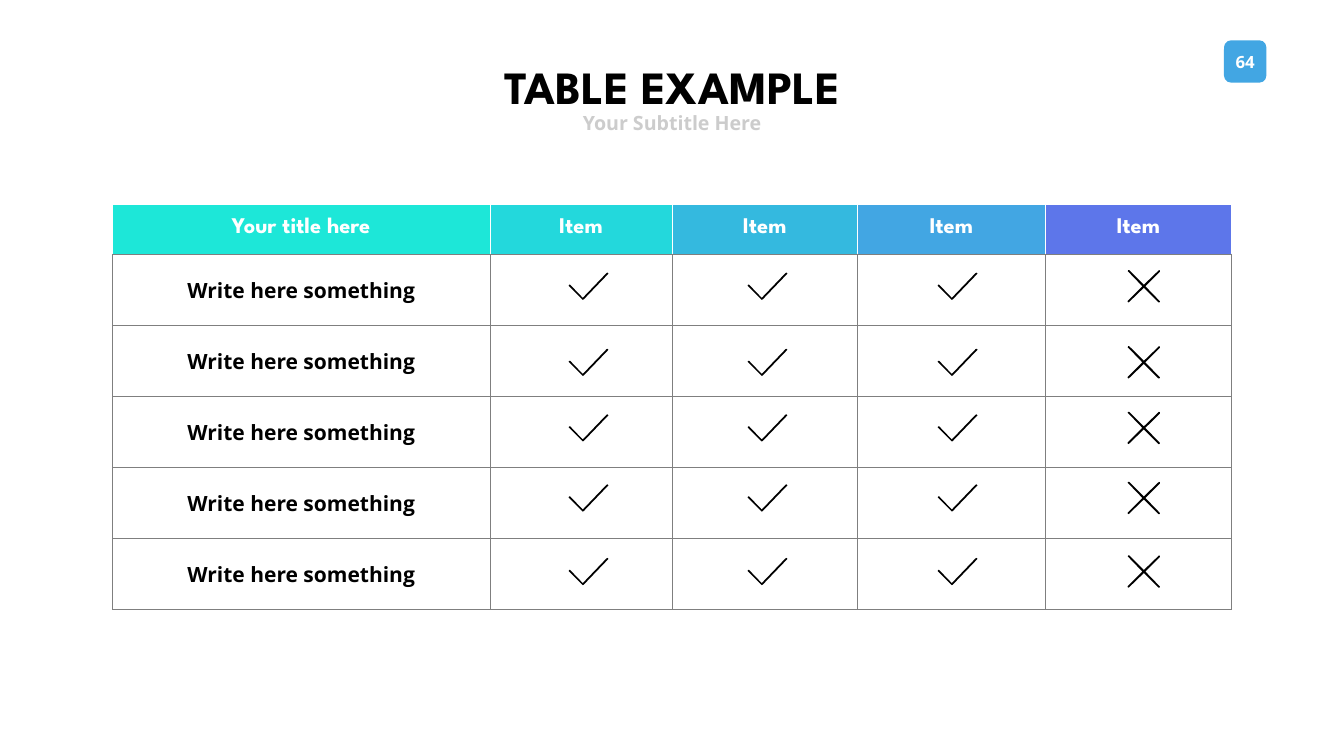
import pptx
import pptx.dml.color
import pptx.enum.shapes
import pptx.enum.text
import pptx.oxml
import pptx.oxml.ns
import pptx.util
from dataclasses import dataclass

PX = 9144  # EMU in one px, 100 px to the inch
ALIGN_CENTER = pptx.enum.text.PP_ALIGN.CENTER
ANCHOR = pptx.enum.text.MSO_ANCHOR


@dataclass(frozen=True)
class Theme:
    heading_font: str = "League Spartan"
    body_font: str = "Open Sans"
    ink: str = "000000"
    paper: str = "FFFFFF"
    muted: str = "CCCCCC"
    grid: str = "7F7F7F"
    badge: str = "42A6E3"
    headers: tuple = ("1DE7D8", "23D8DC", "34B9DF", "42A6E3", "5D76EA")
    title_size: int = 66
    subtitle_size: int = 28
    header_size: int = 32
    label_size: int = 30
    number_size: int = 24


THEME = Theme()

HEADERS = ("Your title here", "Item", "Item", "Item", "Item")
LABELS = ("Write here something",) * 5
COLUMN_WIDTHS = (749, 361, 368, 372, 370)
HEADER_HEIGHT, ROW_HEIGHT = 99, 141
CHECK_LEFTS = (905, 1260, 1637)  # from the left of the table
CROSS_LEFT = 2014
MARK_CENTERS = (163, 314, 444, 583, 729)  # from the top of the table

CHECK_SIZE = (79, 54)
CHECK_OUTLINE = ((79, 2), (77, 0), (75, 1), (28, 50), (3, 24), (1, 24),
                 (0, 26), (27, 53), (28, 54), (30, 53), (78, 3))
CROSS_SIZE = (64, 64)
CROSS_ARM = ((35, 32), (64, 3), (64, 1), (62, 0))


def px(*lengths):
    return [pptx.util.Emu(length * PX) for length in lengths]


def color(code):
    return pptx.dml.color.RGBColor.from_string(code)


def paint(shape, code):
    shape.fill.solid()
    shape.fill.fore_color.rgb = color(code)
    shape.line.fill.background()
    shape.shadow.inherit = False


def write(frame, text, font, size, code):
    """Put one centred bold run in the frame and return its paragraph."""
    para = frame.paragraphs[0]
    para.alignment = ALIGN_CENTER
    span = para.add_run()
    span.text = text
    span.font.name = font
    span.font.size = pptx.util.Pt(size)
    span.font.bold = True
    span.font.color.rgb = color(code)
    return para


def add_title(page, box):
    title = page.shapes.title
    title.left, title.top, title.width, title.height = px(*box)
    frame = title.text_frame
    frame.auto_size = pptx.enum.text.MSO_AUTO_SIZE.NONE
    frame.word_wrap = False
    frame.vertical_anchor = ANCHOR.TOP
    para = write(frame, "TABLE EXAMPLE", THEME.heading_font,
                 THEME.title_size, THEME.ink)
    para.line_spacing = pptx.util.Pt(100)


def add_subtitle(page, box):
    frame = page.shapes.add_textbox(*px(*box)).text_frame
    frame.word_wrap = False
    frame.vertical_anchor = ANCHOR.MIDDLE
    write(frame, "Your Subtitle Here", THEME.body_font,
          THEME.subtitle_size, THEME.muted)


def add_page_number(page, box):
    badge = page.shapes.add_shape(
        pptx.enum.shapes.MSO_SHAPE.ROUNDED_RECTANGLE, *px(*box))
    paint(badge, THEME.badge)
    frame = badge.text_frame
    frame.word_wrap = False
    frame.vertical_anchor = ANCHOR.MIDDLE
    frame.margin_left = frame.margin_right = 0
    write(frame, "64", THEME.body_font, THEME.number_size, THEME.paper)


def set_borders(cell, side_code, bottom_code):
    """Draw 1 pt cell borders; call before the cell gets its fill."""
    properties = cell._tc.get_or_add_tcPr()
    for side in "LRTB":
        code = bottom_code if side == "B" else side_code
        properties.append(pptx.oxml.parse_xml(
            f'<a:ln{side} {pptx.oxml.ns.nsdecls("a")} w="12700"><a:solidFill>'
            f'<a:srgbClr val="{code}"/></a:solidFill></a:ln{side}>'))


def fill_cell(cell, text, top_margin, font, size, code):
    cell.margin_top = px(top_margin)[0]
    write(cell.text_frame, text, font, size, code)


def add_comparison_table(page, left, top):
    row_heights = (HEADER_HEIGHT,) + (ROW_HEIGHT,) * len(LABELS)
    table = page.shapes.add_table(
        len(row_heights), len(COLUMN_WIDTHS),
        *px(left, top, sum(COLUMN_WIDTHS), sum(row_heights))).table
    table.first_row = table.horz_banding = False
    for column, width in zip(table.columns, px(*COLUMN_WIDTHS)):
        column.width = width
    for row, height in zip(table.rows, px(*row_heights)):
        row.height = height

    for column, (text, code) in enumerate(zip(HEADERS, THEME.headers)):
        cell = table.cell(0, column)
        set_borders(cell, THEME.paper, THEME.grid)
        cell.fill.solid()
        cell.fill.fore_color.rgb = color(code)
        fill_cell(cell, text, 27, THEME.heading_font, THEME.header_size,
                  THEME.paper)
    for row, label in enumerate(LABELS, start=1):
        for column in range(len(COLUMN_WIDTHS)):
            cell = table.cell(row, column)
            set_borders(cell, THEME.grid, THEME.grid)
            cell.fill.background()
        fill_cell(table.cell(row, 0), label, 44, THEME.body_font,
                  THEME.label_size, THEME.ink)


def cross_outline():
    """Turn one arm of the cross through four quarter turns."""
    outline, arm = [], CROSS_ARM
    for _ in range(4):
        outline.extend(arm)
        arm = [(y, CROSS_SIZE[0] - x) for x, y in arm]
    return outline


def add_mark(page, outline, left, top):
    points = [(left + x, top + y) for x, y in outline]
    builder = page.shapes.build_freeform(*points[0], scale=PX)
    builder.add_line_segments(points[1:], close=True)
    paint(builder.convert_to_shape(), THEME.ink)


def add_marks(page, left, top):
    cross = cross_outline()
    for center in MARK_CENTERS:
        for check_left in CHECK_LEFTS:
            add_mark(page, CHECK_OUTLINE, left + check_left,
                     top + center - CHECK_SIZE[1] // 2)
        add_mark(page, cross, left + CROSS_LEFT,
                 top + center - CROSS_SIZE[1] // 2)


def main():
    deck = pptx.Presentation()
    deck.slide_width, deck.slide_height = px(2666, 1500)
    page = deck.slides.add_slide(deck.slide_layouts[5])
    add_page_number(page, (2428, 80, 84, 84))
    add_title(page, (936, 81, 796, 143))
    add_subtitle(page, (1144, 215, 378, 57))
    add_comparison_table(page, 223, 405)
    add_marks(page, 223, 405)
    deck.save("out.pptx")


if __name__ == "__main__":
    main()
